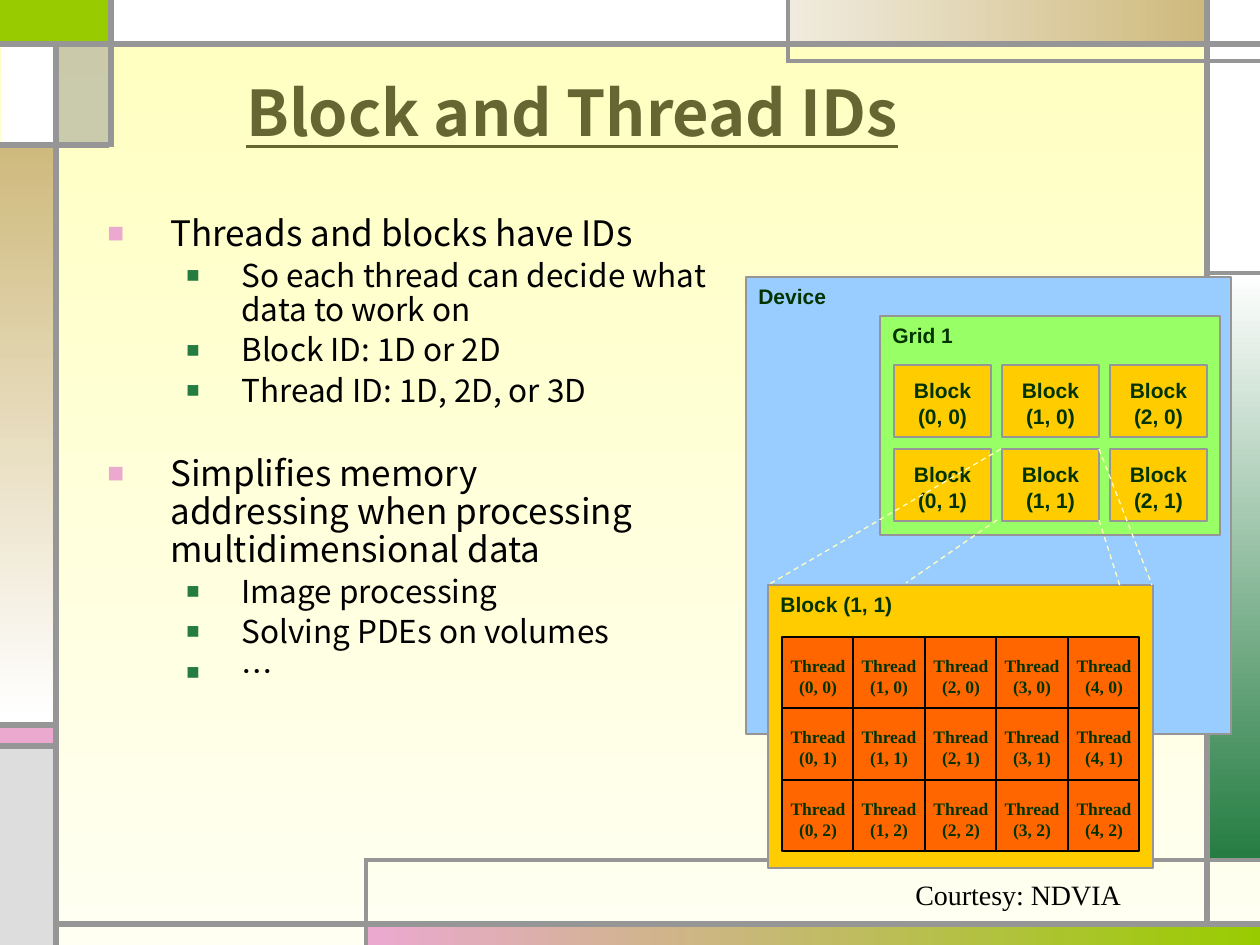
from dataclasses import dataclass

from lxml import etree
from pptx import Presentation
from pptx import util as u
from pptx.dml.color import RGBColor
from pptx.enum import dml, shapes, text
from pptx.oxml.ns import qn

EMU_PER_PX = 914400 / 126


@dataclass(frozen=True)
class Theme:
    sans: str = "Noto Sans CJK KR"
    label: str = "Arial"
    serif: str = "Times New Roman"
    title: str = "666633"
    ink: str = "000000"
    label_ink: str = "003300"
    cream: str = "FFFFBF"
    pale_cream: str = "FFFFF2"
    white: str = "FFFFFF"
    grey: str = "969696"
    light_grey: str = "DDDDDD"
    lime: str = "99CC00"
    pink: str = "EBA9D0"
    forest: str = "247C41"
    tan: str = "CFBA7D"
    pale_tan: str = "F0EBDE"
    device: str = "99CCFF"
    grid: str = "99FF66"
    block: str = "FFCC00"
    thread: str = "FF6600"
    title_size: int = 36
    body_sizes: tuple = (20, 18)
    label_size: int = 12
    thread_size: int = 10
    credit_size: int = 16


THEME = Theme()

# left, top, width, height, colour or (start, end, counterclockwise angle)
PANELS = [
    (0, 0, 109, 43, THEME.lime),
    (368, 924, 892, 21, (THEME.pink, THEME.lime, 0)),
    (1207, 273, 53, 588, (THEME.white, THEME.forest, 270)),
    (0, 725, 53, 21, THEME.pink),
    (0, 747, 53, 198, THEME.light_grey),
    (1207, 0, 53, 273, THEME.white),
    (788, 0, 419, 42, (THEME.pale_tan, THEME.tan, 0)),
    (58, 42, 53, 103, THEME.grey),
    (0, 145, 53, 577, (THEME.tan, THEME.white, 270)),
    (1, 42, 53, 103, THEME.white),
    (109, 0, 679, 41, THEME.white),
]
TRANSLUCENT_PANEL = 7

# x1, y1, x2, y2, width in points
FRAME_LINES = [
    (56, 945, 56, 42, 3), (56, 924, 1260, 924, 3), (1207, 924, 1207, 0, 3),
    (0, 44, 1260, 44, 3), (1260, 61, 788, 61, 2.25), (788, 63, 788, 0, 2.25),
    (1207, 273, 1260, 273, 2.25), (111, 0, 111, 147, 3), (109, 145, 0, 145, 3),
    (366, 945, 366, 859, 2.25), (364, 860, 1260, 860, 2.25),
    (58, 725, 0, 725, 3), (58, 746, 0, 746, 3),
]

ZOOM_LINES = [
    (1001, 449, 768, 585), (1099, 449, 1152, 585),
    (997, 520, 906, 583), (1099, 520, 1120, 586),
]

# level, space before in points, lines
BULLETS = [
    (0, 0, ["Threads and blocks have IDs"]),
    (1, 3.6, ["So each thread can decide what data to work on"]),
    (1, 3.6, ["Block ID: 1D or 2D"]),
    (1, 3.6, ["Thread ID: 1D, 2D, or 3D"]),
    (0, 27, ["Simplifies memory", "addressing when processing", "multidimensional data"]),
    (1, 3.6, ["Image processing"]),
    (1, 3.6, ["Solving PDEs on volumes"]),
    (1, 3.6, ["…"]),
]
# per level: left margin px, first-line indent px, bullet colour, bullet size %
BULLET_LEVELS = [(63, -63, THEME.pink, 80), (134, -55, THEME.forest, 70)]


def px(value):
    return u.Emu(round(value * EMU_PER_PX))


def rgb(value):
    return RGBColor.from_string(value)


def set_gradient(fill, start, end, angle):
    fill.gradient()
    fill.gradient_angle = angle
    for stop, color in zip(fill.gradient_stops, (start, end)):
        stop.color.rgb = rgb(color)


def add_rect(page, left, top, width, height, fill, line=None, line_width=0.75):
    rect = page.shapes.add_shape(shapes.MSO_SHAPE.RECTANGLE,
                                 px(left), px(top), px(width), px(height))
    rect.shadow.inherit = False
    if isinstance(fill, tuple):
        set_gradient(rect.fill, *fill)
    else:
        rect.fill.solid()
        rect.fill.fore_color.rgb = rgb(fill)
    if line:
        rect.line.color.rgb = rgb(line)
        rect.line.width = u.Pt(line_width)
    else:
        rect.line.fill.background()
    return rect


def set_alpha(rect, percent):
    color = rect.fill._xPr.find(".//" + qn("a:srgbClr"))
    etree.SubElement(color, qn("a:alpha"), val=str(percent * 1000))


def add_line(page, x1, y1, x2, y2, color, width, dash=None):
    line = page.shapes.add_connector(shapes.MSO_CONNECTOR.STRAIGHT,
                                     px(x1), px(y1), px(x2), px(y2))
    line.line.color.rgb = rgb(color)
    line.line.width = u.Pt(width)
    if dash:
        line.line.dash_style = dash
    etree.SubElement(line._element.spPr, qn("a:effectLst"))


def add_span(para, content, font, size, color, bold=False, underline=False):
    span = para.add_run()
    span.text = content
    span.font.name = font
    span.font.size = u.Pt(size)
    span.font.color.rgb = rgb(color)
    span.font.bold = bold
    span.font.underline = underline
    etree.SubElement(span._r.get_or_add_rPr(), qn("a:ea"), typeface=font)


def write_lines(frame, lines, align, font, size, color, **style):
    """Write one paragraph for each line."""
    for index, line in enumerate(lines):
        para = frame.add_paragraph() if index else frame.paragraphs[0]
        para.alignment = align
        add_span(para, line, font, size, color, **style)


def add_text_box(page, left, top, width, height, wrap=True):
    frame = page.shapes.add_textbox(px(left), px(top), px(width), px(height)).text_frame
    frame.word_wrap = wrap
    return frame


def set_insets(frame, top=0):
    frame.margin_left = frame.margin_right = frame.margin_bottom = 0
    frame.margin_top = px(top)


def add_bullet(para, level):
    margin, indent, color, size = BULLET_LEVELS[level]
    props = para._p.get_or_add_pPr()
    props.set("marL", str(px(margin)))
    props.set("indent", str(px(indent)))
    bullet_color = etree.SubElement(props, qn("a:buClr"))
    etree.SubElement(bullet_color, qn("a:srgbClr"), val=color)
    etree.SubElement(props, qn("a:buSzPct"), val=str(size * 1000))
    etree.SubElement(props, qn("a:buFont"), typeface=THEME.label)
    etree.SubElement(props, qn("a:buChar"), char="■")


def add_labelled_rect(page, left, top, width, height, fill, lines, centered=False):
    frame = add_rect(page, left, top, width, height, fill, THEME.grey).text_frame
    frame.vertical_anchor = text.MSO_ANCHOR.TOP
    if centered:
        set_insets(frame, top=13)
    align = text.PP_ALIGN.CENTER if centered else text.PP_ALIGN.LEFT
    write_lines(frame, lines, align, THEME.label, THEME.label_size, THEME.label_ink, bold=True)


def add_backdrop(page):
    set_gradient(page.background.fill, THEME.cream, THEME.pale_cream, 270)
    panels = [add_rect(page, *panel) for panel in PANELS]
    set_alpha(panels[TRANSLUCENT_PANEL], 50)
    for *ends, width in FRAME_LINES:
        add_line(page, *ends, THEME.grey, width)


def add_title(page):
    frame = add_text_box(page, 63, 38, 1018, 147)
    frame.vertical_anchor = text.MSO_ANCHOR.MIDDLE
    write_lines(frame, ["Block and Thread IDs"], text.PP_ALIGN.CENTER, THEME.sans,
                THEME.title_size, THEME.title, bold=True, underline=True)


def add_body(page):
    frame = add_text_box(page, 95, 210, 640, 630)
    for index, (level, space, lines) in enumerate(BULLETS):
        para = frame.add_paragraph() if index else frame.paragraphs[0]
        para.level = level
        add_bullet(para, level)
        para.line_spacing = 0.9
        para.space_before = u.Pt(space)
        for number, line in enumerate(lines):
            if number:
                para.add_line_break()
            add_span(para, line, THEME.sans, THEME.body_sizes[level], THEME.ink)


def add_thread_grid(page, left=782, top=637, width=357, height=214, columns=5, rows=3):
    add_rect(page, left, top, width, height, THEME.thread, THEME.ink, 1)
    xs = [left + round(width * i / columns) for i in range(columns)]
    ys = [top + round(height * j / rows) for j in range(rows)]
    for y in ys[1:]:
        add_line(page, left, y, left + width, y, THEME.ink, 1)
    for x in xs[1:]:
        add_line(page, x, top, x, top + height, THEME.ink, 1)
    for row, y in enumerate(ys):
        for column, x in enumerate(xs):
            frame = add_text_box(page, x + 4, y + 18, 64, 37, wrap=False)
            set_insets(frame)
            write_lines(frame, ["Thread", f"({column}, {row})"], text.PP_ALIGN.CENTER,
                        THEME.serif, THEME.thread_size, THEME.label_ink, bold=True)


def add_device_diagram(page):
    add_labelled_rect(page, 746, 277, 485, 457, THEME.device, ["Device"])
    add_labelled_rect(page, 880, 316, 340, 219, THEME.grid, ["Grid 1"])
    for row in range(2):
        for column in range(3):
            add_labelled_rect(page, 894 + 108 * column, 365 + 84 * row, 97, 72, THEME.block,
                              ["Block", f"({column}, {row})"], centered=True)
    add_labelled_rect(page, 768, 585, 385, 283, THEME.block, ["Block (1, 1)"])
    add_thread_grid(page)
    for ends in ZOOM_LINES:
        add_line(page, *ends, THEME.cream, 0.75, dml.MSO_LINE.DASH)


def add_credit(page):
    frame = add_text_box(page, 903, 871, 232, 47, wrap=False)
    write_lines(frame, ["Courtesy: NDVIA"], text.PP_ALIGN.LEFT, THEME.serif,
                THEME.credit_size, THEME.ink)


def main():
    deck = Presentation()
    deck.slide_width, deck.slide_height = px(1260), px(945)
    page = deck.slides.add_slide(deck.slide_layouts[6])
    for add_part in (add_backdrop, add_title, add_body, add_device_diagram, add_credit):
        add_part(page)
    deck.save("out.pptx")


if __name__ == "__main__":
    main()
